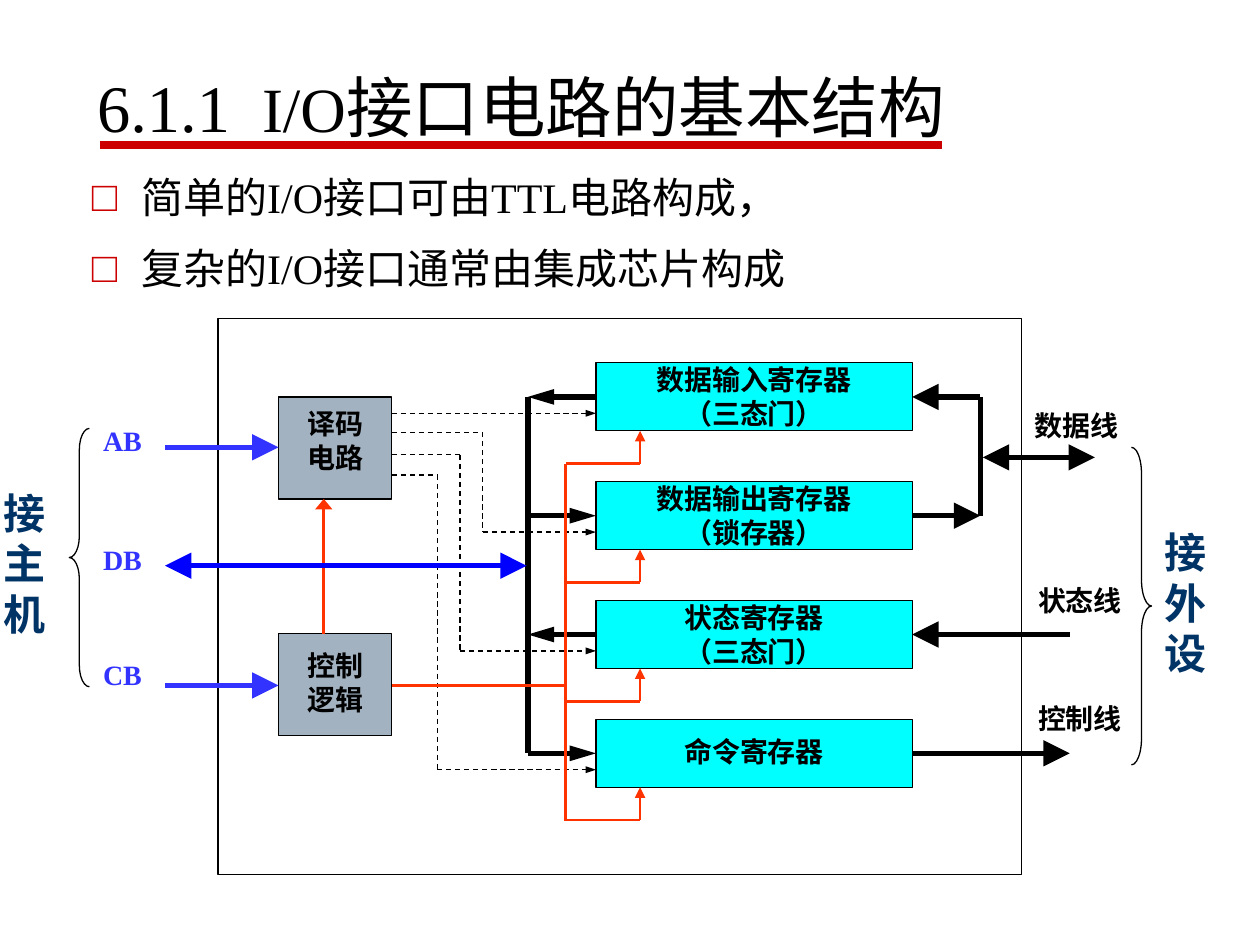
import pptx
import pptx.util
import pptx.dml.color
import pptx.enum.dml
import pptx.enum.shapes
import pptx.enum.text
import pptx.oxml.ns
from lxml import etree

Inches, Pt = pptx.util.Inches, pptx.util.Pt
SHAPE = pptx.enum.shapes.MSO_SHAPE
ALIGN = pptx.enum.text.PP_ALIGN
COLORS = {
    "ink": "000000", "paper": "FFFFFF", "rule": "CC0000", "reg": "00FFFF",
    "unit": "A3B2C1", "bus": "3333FF", "data": "0000FF", "ctrl": "FF3300",
    "side": "003366",
}
SERIF = "Times New Roman"
PITCH = 0.943  # distance between registers
LOW = 0.54     # register height


def rgb(name):
    return pptx.dml.color.RGBColor.from_string(COLORS[name])


def sub(node, tag, **attrs):
    return etree.SubElement(node, pptx.oxml.ns.qn(tag), **attrs)


def place(shape, box):
    shape.left, shape.top, shape.width, shape.height = map(Inches, box)


def style(run, size, color="ink", bold=False, font=SERIF, east=None):
    run.font.size, run.font.bold = Pt(size), bold
    run.font.color.rgb = rgb(color)
    run.font.name = font
    if east:
        sub(run.font._element, "a:ea", typeface=east)


def write(shape, text, size=16, color="ink", align=ALIGN.CENTER,
          pad=(0.1, 0), font=SERIF, before=0):
    frame = shape.text_frame
    frame.word_wrap = True
    frame.vertical_anchor = pptx.enum.text.MSO_ANCHOR.TOP
    frame.margin_left = frame.margin_right = Inches(pad[0])
    frame.margin_top, frame.margin_bottom = Inches(pad[1]), 0
    frame.text = text
    for para in frame.paragraphs:
        para.alignment, para.space_before = align, Pt(before)
        style(para.runs[0], size, color, True, font)


def label(slide, box, text, **look):
    shape = slide.shapes.add_textbox(*map(Inches, box))
    write(shape, text, **look)


def block(slide, box, fill, text="", top=0):
    shape = slide.shapes.add_shape(SHAPE.RECTANGLE, *map(Inches, box))
    shape.shadow.inherit = False
    shape.fill.solid()
    shape.fill.fore_color.rgb = rgb(fill)
    shape.line.color.rgb = rgb("ink")
    shape.line.width = Pt(0.75)
    if text:
        write(shape, text, pad=(0.1, top))


def brace(slide, kind, box):
    shape = slide.shapes.add_shape(kind, *map(Inches, box))
    shape.shadow.inherit = False
    shape.fill.background()
    shape.line.color.rgb = rgb("ink")
    shape.line.width = Pt(0.75)
    shape.adjustments[0] = box[3] / box[2] / 12


def wire(slide, *points, color="ink", width=3, head=None, tail=None, dash=False):
    """Chain of straight lines; head and tail give arrow width and length."""
    last = len(points) - 2
    for i, (a, b) in enumerate(zip(points, points[1:])):
        line = slide.shapes.add_connector(
            pptx.enum.shapes.MSO_CONNECTOR.STRAIGHT, *map(Inches, a + b))
        line.line.color.rgb = rgb(color)
        line.line.width = Pt(width)
        if dash:
            line.line.dash_style = pptx.enum.dml.MSO_LINE.DASH
        ends = (("a:headEnd", head, i == 0), ("a:tailEnd", tail, i == last))
        for tag, size, here in ends:
            if size and here:
                sub(line.line._get_or_add_ln(), tag,
                    type="triangle", w=size[0], len=size[1])
        sub(line._element.spPr, "a:effectLst")


BIG, SLIM, MED = ("lg", "lg"), ("med", "lg"), ("med", "med")


def title(slide, box):
    x, y, w, h = box
    shape = slide.shapes.title
    place(shape, box)
    frame = shape.text_frame
    frame.auto_size = pptx.enum.text.MSO_AUTO_SIZE.NONE
    frame.vertical_anchor = pptx.enum.text.MSO_ANCHOR.BOTTOM
    para = frame.paragraphs[0]
    para.alignment = ALIGN.LEFT
    parts = (("6.1.1", 38, SERIF), ("\tI/O", 36, SERIF),
             ("接口电路的基本结构", 38, "DejaVu Sans"))
    for text, size, font in parts:
        run = para.add_run()
        run.text = text
        style(run, size, font=font, east="DejaVu Sans")
    stops = sub(para._p.get_or_add_pPr(), "a:tabLst")
    sub(stops, "a:tab", pos=str(Inches(1.31)), algn="l")
    wire(slide, (x + 0.12, y + 0.78), (x + 6.81, y + 0.78), color="rule", width=4.5)


def points(slide, box):
    shape = slide.placeholders[1]
    place(shape, box)
    frame = shape.text_frame
    frame.auto_size = pptx.enum.text.MSO_AUTO_SIZE.NONE
    frame.text = "简单的I/O接口可由TTL电路构成，\n复杂的I/O接口通常由集成芯片构成"
    for para in frame.paragraphs:
        para.line_spacing, para.space_before = 1.2, Pt(6)
        style(para.runs[0], 24)
        props = para._p.get_or_add_pPr()
        props.set("marL", str(Inches(0.39)))
        props.set("indent", str(-Inches(0.39)))
        sub(sub(props, "a:buClr"), "a:srgbClr", val=COLORS["rule"])
        sub(props, "a:buChar", char="□")


def inside(slide, box):
    x, y, w, h = box
    block(slide, box, "paper")
    left, bus, spine = x + 3, x + 2.46, x + 2.76
    rows = [y + 0.35 + PITCH * i for i in range(4)]
    names = ("数据输入寄存器\n（三态门）", "数据输出寄存器\n（锁存器）",
             "状态寄存器\n（三态门）", "命令寄存器")
    mids = [top + LOW / 2 for top in rows]

    # Decoder and control logic
    block(slide, (x + 0.48, y + 0.62, 0.9, 0.81), "unit", "译码\n电路", 0.08)
    block(slide, (x + 0.48, y + 2.5, 0.9, 0.81), "unit", "控制\n逻辑", 0.12)

    # Registers on the inner data bus
    wire(slide, (bus, mids[0]), (bus, mids[3]))
    for i, (top, mid, name) in enumerate(zip(rows, mids, names)):
        block(slide, (left, top, 2.51, LOW), "reg", name, 0.12 if i == 3 else 0)
        ends = [(bus, mid), (left, mid)]
        wire(slide, *(ends if i % 2 else ends[::-1]), tail=SLIM)

    # Select lines from the decoder
    for i, (top, out) in enumerate(zip(rows, (0.75, 0.9, 1.08, 1.24))):
        path = [(x + 1.38, y + out), (left, top + 0.4)]
        if i:
            turn = x + 2.28 - 0.18 * i
            path[1:1] = [(turn, y + out), (turn, top + 0.4)]
        wire(slide, *path, width=0.75, dash=True, tail=("sm", "med"))

    # Control lines
    red = {"color": "ctrl", "width": 1.5}
    wire(slide, (x + 0.84, y + 2.5), (x + 0.84, y + 1.43), tail=("lg", "med"), **red)
    wire(slide, (x + 1.38, y + 2.91), (spine, y + 2.91), **red)
    wire(slide, (spine, rows[0] + 0.8), (spine, rows[3] + 0.81), **red)
    for top in rows:
        low, stub = top + 0.8, x + 3.35
        wire(slide, (spine, low), (stub, low), (stub, top + LOW), tail=MED, **red)


def host(slide, box):
    x, y, w, h = box
    label(slide, (x, y + 0.47, 0.39, 1.2), "接主机", size=24, color="side",
          pad=(0, 0), font="Arial", before=15)
    brace(slide, SHAPE.LEFT_BRACE, (x + 0.55, y, 0.16, h))
    for name, down in (("AB", -0.04), ("DB", 0.91), ("CB", 1.82)):
        label(slide, (x + 0.72, y + down, 0.71, 0.4), name, color="bus",
              align=ALIGN.JUSTIFY)
    for down in (0.15, 2.04):
        wire(slide, (x + 1.31, y + down), (x + w, y + down), color="bus", tail=BIG)
    wire(slide, (x + 1.31, y + 1.09), (x + 4.18, y + 1.09), color="data",
         head=BIG, tail=BIG)


def device(slide, box):
    x, y, w, h = box
    join, end = x + 0.54, x + 1.25
    wire(slide, (join, y), (x, y), tail=BIG)
    wire(slide, (x, y + PITCH), (join, y + PITCH), tail=BIG)
    wire(slide, (join, y), (join, y + PITCH))
    wire(slide, (x + 0.56, y + 0.48), (x + 1.45, y + 0.48), head=BIG, tail=BIG)
    wire(slide, (end, y + 2 * PITCH), (x, y + 2 * PITCH), tail=BIG)
    wire(slide, (x, y + 3 * PITCH), (end, y + 3 * PITCH), tail=BIG)
    for name, over, down in (("数据线", 0.87, 0.09), ("状态线", 0.9, 1.48),
                             ("控制线", 0.9, 2.42)):
        label(slide, (x + over, y + down, 1.08, 0.4), name, align=ALIGN.JUSTIFY)
    brace(slide, SHAPE.RIGHT_BRACE, (x + 1.74, y + 0.4, 0.16, h - 0.4))
    label(slide, (x + 1.97, y + 1.03, 0.39, 1.2), "接外设", size=24, color="side",
          pad=(0, 0), font="Arial", before=15)


def main():
    deck = pptx.Presentation()
    deck.slide_width, deck.slide_height = Inches(10), Inches(7.5)
    slide = deck.slides.add_slide(deck.slide_layouts[1])
    title(slide, (0.67, 0.37, 7.53, 0.84))
    points(slide, (0.63, 1.23, 8.75, 5.17))
    inside(slide, (1.73, 2.53, 6.38, 4.41))
    host(slide, (0, 3.4, 2.21, 2.05))
    device(slide, (7.24, 3.15, 2.36, 2.92))
    deck.save("out.pptx")


if __name__ == "__main__":
    main()
